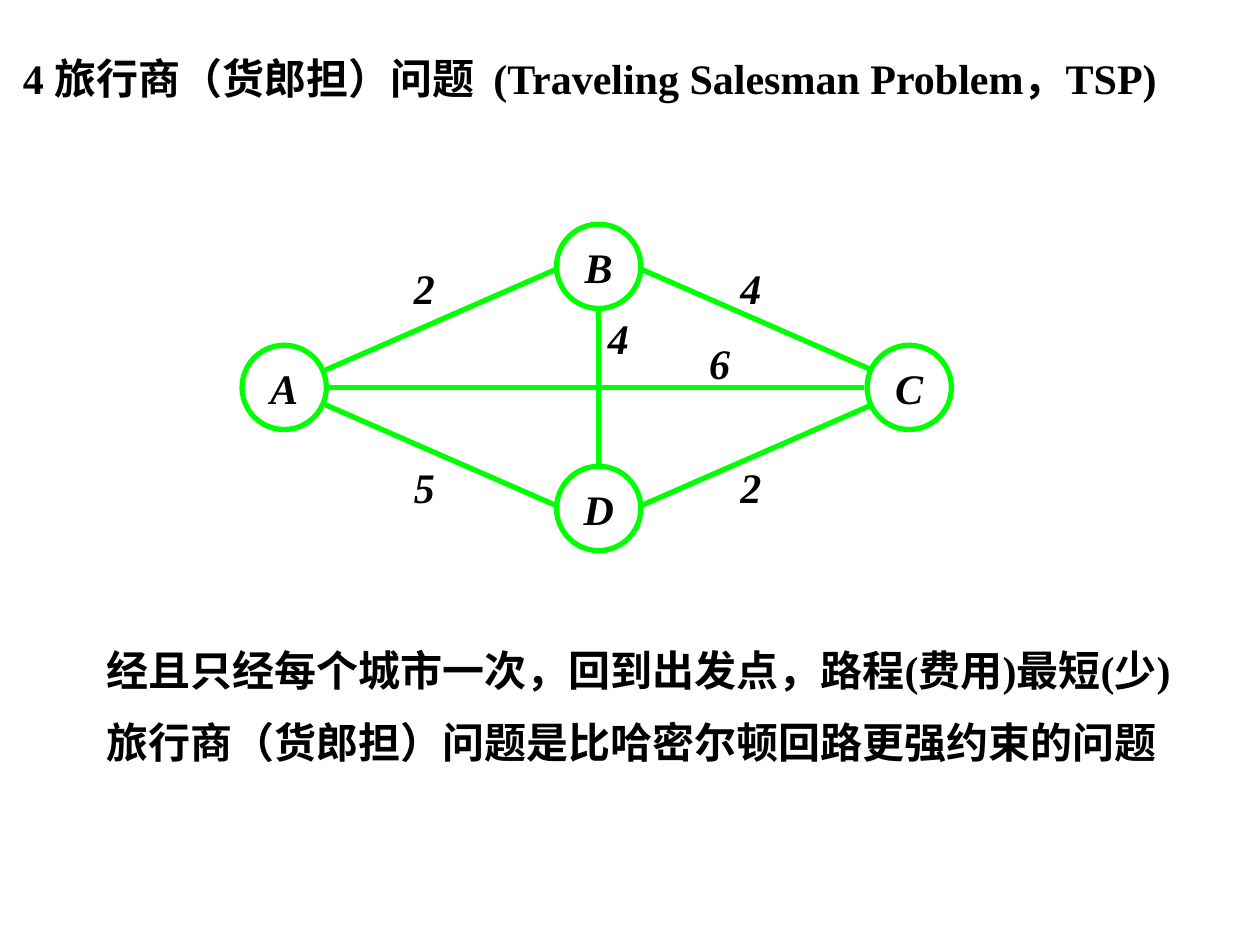
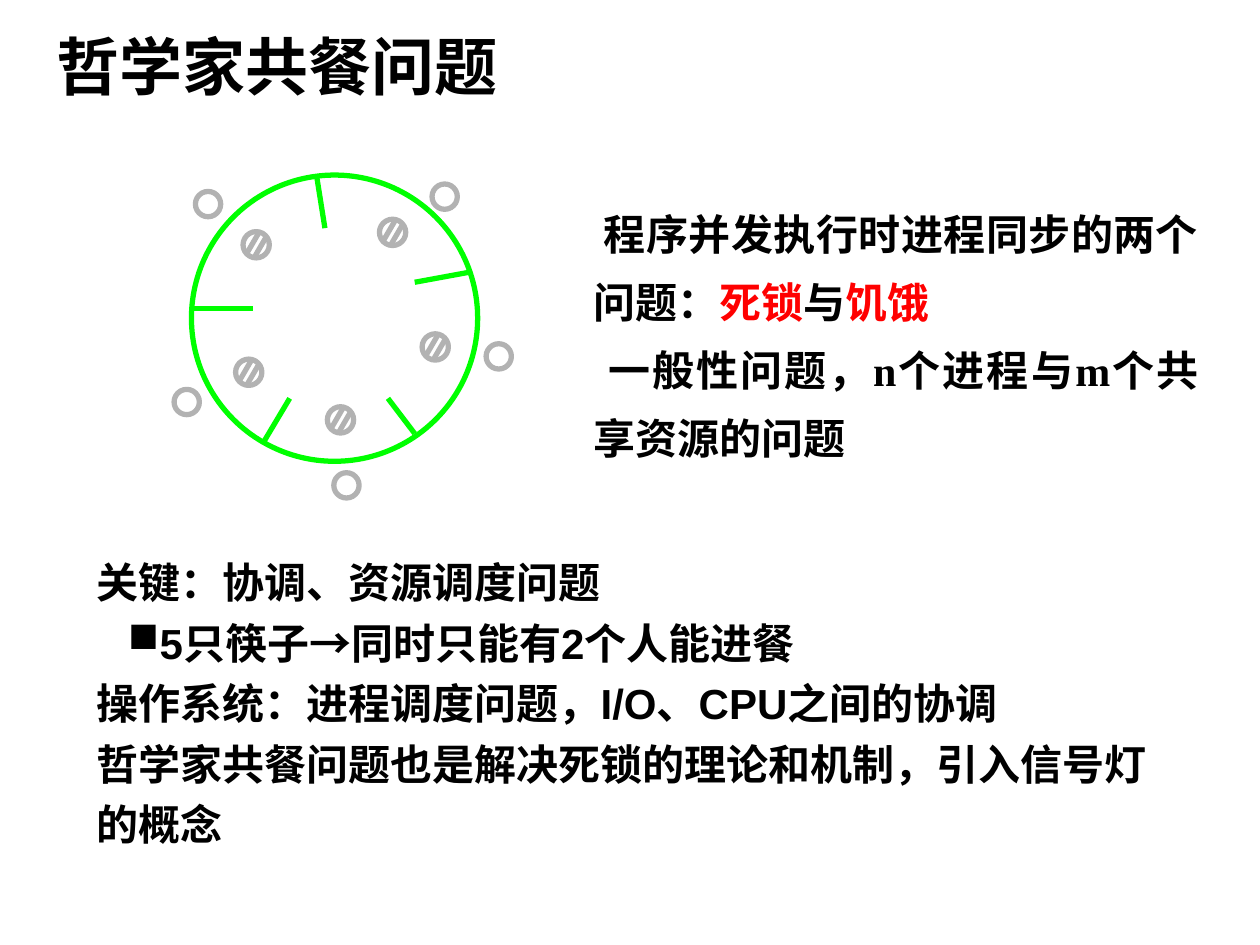
from dataclasses import dataclass

from lxml import etree
from pptx import Presentation
from pptx.dml.color import RGBColor
from pptx.enum.lang import MSO_LANGUAGE_ID
from pptx.enum.shapes import MSO_CONNECTOR, MSO_SHAPE
from pptx.enum.text import MSO_ANCHOR, PP_ALIGN
from pptx.oxml.ns import qn
from pptx.slide import Slide
from pptx.util import Cm, Pt

BLACK = RGBColor(0x00, 0x00, 0x00)
RED = RGBColor(0xFF, 0x00, 0x00)
GREEN = RGBColor(0x00, 0xFF, 0x00)
GREY = RGBColor(0xB2, 0xB2, 0xB2)

LEFT, CENTER, JUST = PP_ALIGN.LEFT, PP_ALIGN.CENTER, PP_ALIGN.JUSTIFY
MIDDLE = MSO_ANCHOR.MIDDLE
OVAL = MSO_SHAPE.OVAL
STRAIGHT = MSO_CONNECTOR.STRAIGHT
CHINESE = MSO_LANGUAGE_ID.SIMPLIFIED_CHINESE

SERIF, SANS = "Times New Roman", "Arial"
LINE = Pt(3)


@dataclass
class Para:
    """A paragraph; every second text is red."""
    texts: tuple[str, ...]
    font: str = SERIF
    size: int = 24
    italic: bool = False
    align: PP_ALIGN = LEFT
    space: float = 1.0
    after: int = 0
    margin: float = 0
    indent: float = 0
    bullet: str = ""


@dataclass
class Box:
    """A place on the slide, in centimetres."""
    x: float
    y: float
    w: float
    h: float


@dataclass
class Edge:
    """A straight line between two points, in centimetres."""
    x1: float
    y1: float
    x2: float
    y2: float


# Shared drawing functions
def fill_para(p, para: Para) -> None:
    props = p._p.get_or_add_pPr()
    props.set("marL", str(Cm(para.margin)))
    props.set("indent", str(Cm(para.indent)))
    if para.bullet:
        p.level = 1
        etree.SubElement(props, qn("a:buChar")).set("char", para.bullet)
    p.alignment = para.align
    p.line_spacing = para.space
    p.space_after = Pt(para.after)
    for i, text in enumerate(para.texts):
        run = p.add_run()
        run.text = text
        font = run.font
        font.name, font.size = para.font, Pt(para.size)
        font.bold, font.italic = True, para.italic
        font.color.rgb = RED if i % 2 else BLACK
        font.language_id = CHINESE


def add_text(slide: Slide, box: Box, *paras: Para) -> None:
    frame = slide.shapes.add_textbox(
        Cm(box.x), Cm(box.y), Cm(box.w), Cm(box.h)).text_frame
    frame.word_wrap = True
    for i, para in enumerate(paras):
        fill_para(frame.add_paragraph() if i else frame.paragraphs[0], para)


def add_ring(slide: Slide, x: float, y: float, size: float,
             color: RGBColor, name: str = "") -> None:
    ring = slide.shapes.add_shape(OVAL, Cm(x), Cm(y), Cm(size), Cm(size))
    ring.shadow.inherit = False
    ring.fill.background()
    ring.line.color.rgb = color
    ring.line.width = LINE
    if name:
        frame = ring.text_frame
        frame.word_wrap = False
        frame.vertical_anchor = MIDDLE
        fill_para(frame.paragraphs[0],
                  Para((name,), italic=True, align=CENTER))


def add_edge(slide: Slide, edge: Edge, color: RGBColor) -> None:
    line = slide.shapes.add_connector(
        STRAIGHT, Cm(edge.x1), Cm(edge.y1), Cm(edge.x2), Cm(edge.y2))
    line.line.color.rgb = color
    line.line.width = LINE
    etree.SubElement(line._element.spPr, qn("a:effectLst"))


# Slide 1: weighted graph of four cities
MID_X, MID_Y = 12.07, 7.81
NODE = 1.7
CITIES = {"B": (12.07, 5.37), "D": (12.07, 10.25),
          "A": (5.73, 7.81), "C": (18.33, 7.81)}
COSTS = [("2", 7.82, 5.16), ("5", 7.82, 9.17), ("4", 14.4, 5.16),
         ("2", 14.4, 9.17), ("4", 11.73, 6.17), ("6", 13.77, 6.68)]


def draw_tour(slide: Slide) -> None:
    add_text(slide, Box(0, 0.94, 24.71, 1.3),
             Para(("4 旅行商（货郎担）问题  (Traveling Salesman Problem，TSP)",),
                  align=JUST, indent=0.21))
    add_text(slide, Box(1.9, 12.06, 23.5, 3.66),
             Para(("经且只经每个城市一次，回到出发点，路程(费用)最短(少)",),
                  align=JUST, space=1.8, after=12),
             Para(("旅行商（货郎担）问题是比哈密尔顿回路更强约束的问题",),
                  font=SANS))
    # Diagonals of the diamond
    add_edge(slide, Edge(6.63, MID_Y, 17.42, MID_Y), GREEN)
    add_edge(slide, Edge(MID_X, 9.4, MID_X, 6.22), GREEN)
    for name, (x, y) in CITIES.items():
        add_ring(slide, x - NODE / 2, y - NODE / 2, NODE, GREEN, name)
    # Sides mirrored about the centre
    for side in (-1, 1):
        for up in (-1, 1):
            add_edge(slide, Edge(MID_X + side * 5.51, MID_Y + up * 0.35,
                                 MID_X + side * 0.84, MID_Y + up * 2.39),
                     GREEN)
    for cost, x, y in COSTS:
        add_text(slide, Box(x, y, 1.47, 1.27),
                 Para((cost,), italic=True, align=CENTER))


# Slide 2: round table with plates, seats and chopsticks
SEATS = [(3.94, 3.86), (8.71, 3.71), (9.8, 6.93), (6.73, 9.53), (3.51, 7.85)]
PLATES = [(4.9, 4.67), (7.65, 4.42), (4.75, 7.24), (6.6, 8.2), (8.51, 6.73)]
STICKS = [Edge(3.86, 6.22, 5.11, 6.22), Edge(6.38, 3.53, 6.55, 4.6),
          Edge(9.45, 5.49, 8.36, 5.69), Edge(8.36, 8.74, 7.82, 8.03),
          Edge(5.31, 8.92, 5.84, 8.03)]


def add_plate(slide: Slide, x: float, y: float) -> None:
    add_ring(slide, x, y, 0.53, GREY)
    for dx, dy in ((0, 0), (0.14, 0.1)):
        add_edge(slide, Edge(x + 0.33 + dx, y + dy,
                             x + 0.08 + dx, y + 0.43 + dy), GREY)


def draw_diners(slide: Slide) -> None:
    add_text(slide, Box(0.89, 0.13, 21.62, 1.93),
             Para(("哲学家共餐问题",), size=36, align=JUST, space=1.2))
    add_ring(slide, 3.86, 3.53, 5.77, GREEN)
    for x, y in PLATES:
        add_plate(slide, x, y)
    for x, y in SEATS:
        add_ring(slide, x, y, 0.51, GREY)
    for stick in STICKS:
        add_edge(slide, stick, GREEN)
    add_text(slide, Box(1.7, 10.9, 22.4, 6.3),
             Para(("关键：协调、资源调度问题",), font=SANS, space=1.2),
             Para(("5只筷子→同时只能有2个人能进餐",), font=SANS, space=1.2,
                  margin=1.27, indent=-0.64, bullet="■"),
             Para(("操作系统：进程调度问题，I/O、CPU之间的协调",),
                  font=SANS, space=1.2),
             Para(("哲学家共餐问题也是解决死锁的理论和机制，引入信号灯的概念",),
                  font=SANS, space=1.2))
    add_text(slide, Box(11.71, 3.73, 12.7, 5.79),
             Para(("程序并发执行时进程同步的两个问题：", "死锁", "与", "饥饿"),
                  align=JUST, space=1.35, indent=0.21),
             Para(("一般性问题，n个进程与m个共享资源的问题",),
                  align=JUST, space=1.35, indent=0.3))


def main() -> None:
    deck = Presentation()
    deck.slide_width, deck.slide_height = Cm(25.4), Cm(19.05)
    blank = deck.slide_layouts[6]
    for draw in (draw_tour, draw_diners):
        draw(deck.slides.add_slide(blank))
    deck.save("out.pptx")


if __name__ == "__main__":
    main()
